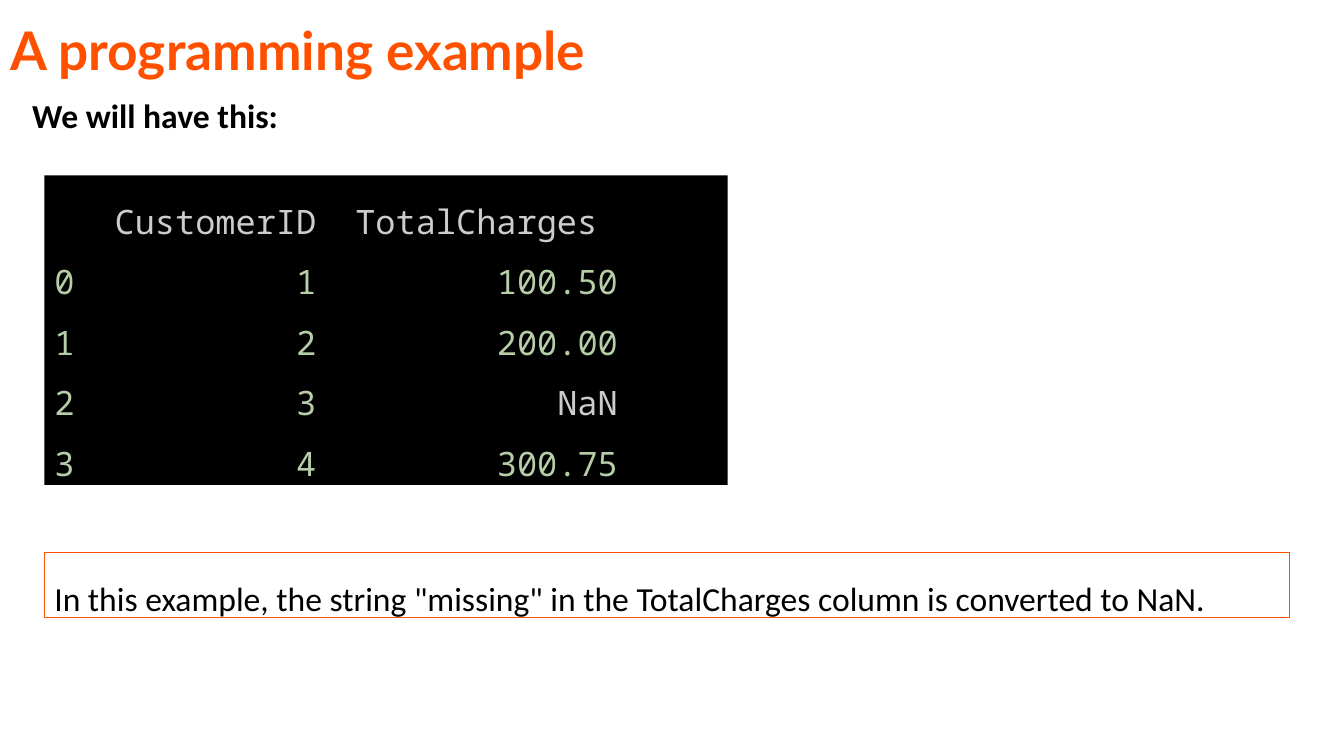
from dataclasses import dataclass

from lxml import etree
from pptx import Presentation
from pptx.dml.color import RGBColor
from pptx.enum.shapes import MSO_SHAPE
from pptx.enum.text import MSO_ANCHOR, MSO_AUTO_SIZE, PP_ALIGN
from pptx.oxml.ns import qn
from pptx.util import Cm, Pt

RECTANGLE = MSO_SHAPE.RECTANGLE
TOP, MIDDLE = MSO_ANCHOR.TOP, MSO_ANCHOR.MIDDLE
GROW, FIXED = MSO_AUTO_SIZE.SHAPE_TO_FIT_TEXT, MSO_AUTO_SIZE.NONE
LEFT = PP_ALIGN.LEFT
TITLE_ONLY = 5


@dataclass(frozen=True)
class Theme:
    """Colours, fonts and type sizes of the slide."""
    accent: str = "FF5000"
    ink: str = "000000"
    console: str = "000000"
    label: str = "CCCCCC"
    number: str = "B5CEA8"
    title_font: str = "Lato"
    body_font: str = "Calibri"
    code_font: str = "Noto Sans Mono"
    title_size: int = 38
    body_size: int = 24


THEME = Theme()

HEADER = ("", "CustomerID", "TotalCharges")
RECORDS = (
    ("0", "1", "100.50"),
    ("1", "2", "200.00"),
    ("2", "3", "NaN"),
    ("3", "4", "300.75"),
)
HEADER_STOPS = (Cm(6.6), Cm(13.68))
RECORD_STOPS = (Cm(6.6), Cm(14.2))


def write(paragraph, text, *, font=THEME.body_font, size=THEME.body_size,
          color=THEME.ink, bold=False, spacing=1.5):
    """Append formatted text to a paragraph."""
    paragraph.alignment = LEFT
    paragraph.line_spacing = spacing
    run = paragraph.add_run()
    run.text = text
    run.font.name = font
    run.font.size = Pt(size)
    run.font.bold = bold
    run.font.color.rgb = RGBColor.from_string(color)


def prepare_frame(shape, anchor=TOP, auto_size=GROW):
    """Set wrapping, anchor and fitting, and return the first paragraph."""
    frame = shape.text_frame
    frame.word_wrap = True
    frame.vertical_anchor = anchor
    frame.auto_size = auto_size
    return frame.paragraphs[0]


def add_title(slide, text):
    """Place and fill the title placeholder."""
    title = slide.shapes.title
    title.left, title.top, title.width, title.height = Cm(0), Cm(0), Cm(33.87), Cm(2.67)
    write(prepare_frame(title, MIDDLE, FIXED), text, font=THEME.title_font,
          size=THEME.title_size, color=THEME.accent, bold=True, spacing=0.9)


def add_lead(slide, text, box):
    """Add the bold introductory line."""
    lead = slide.shapes.add_textbox(*box)
    write(prepare_frame(lead), text, bold=True)


def add_panel(slide, box, fill=None, line=None):
    """Add a flat rectangle with optional fill and outline."""
    panel = slide.shapes.add_shape(RECTANGLE, *box)
    panel.shadow.inherit = False
    if fill:
        panel.fill.solid()
        panel.fill.fore_color.rgb = RGBColor.from_string(fill)
    else:
        panel.fill.background()
    if line:
        panel.line.color.rgb = RGBColor.from_string(line)
        panel.line.width = Pt(0.75)
    else:
        panel.line.fill.background()
    return panel


def set_right_tabs(paragraph, stops):
    """Give a paragraph right-aligned tab stops."""
    tabs = etree.SubElement(paragraph._p.get_or_add_pPr(), qn("a:tabLst"))
    for stop in stops:
        etree.SubElement(tabs, qn("a:tab"), pos=str(stop), algn="r")


def write_record(paragraph, values, stops):
    """Write one console row, its values parted by tabs."""
    for column, value in enumerate(values):
        color = THEME.number if value[:1].isdigit() else THEME.label
        write(paragraph, "\t" + value if column else value,
              font=THEME.code_font, color=color)
    set_right_tabs(paragraph, stops)


def add_console(slide, box):
    """Add the console output with its header and records."""
    console = add_panel(slide, box, fill=THEME.console)
    write_record(prepare_frame(console), HEADER, HEADER_STOPS)
    for record in RECORDS:
        write_record(console.text_frame.add_paragraph(), record, RECORD_STOPS)


def add_remark(slide, text, box):
    """Add the outlined explanation."""
    remark = add_panel(slide, box, line=THEME.accent)
    write(prepare_frame(remark), text)


def main():
    """Build and save the slide."""
    deck = Presentation()
    deck.slide_width, deck.slide_height = Cm(33.87), Cm(19.05)
    slide = deck.slides.add_slide(deck.slide_layouts[TITLE_ONLY])
    add_title(slide, "A programming example")
    add_lead(slide, "We will have this:", (Cm(0.56), Cm(1.75), Cm(32.74), Cm(1.63)))
    add_console(slide, (Cm(1.12), Cm(4.42), Cm(17.22), Cm(7.8)))
    add_remark(slide,
               'In this example, the string "missing" in the TotalCharges '
               "column is converted to NaN.",
               (Cm(1.12), Cm(13.92), Cm(31.37), Cm(1.63)))
    deck.save("out.pptx")


if __name__ == "__main__":
    main()
